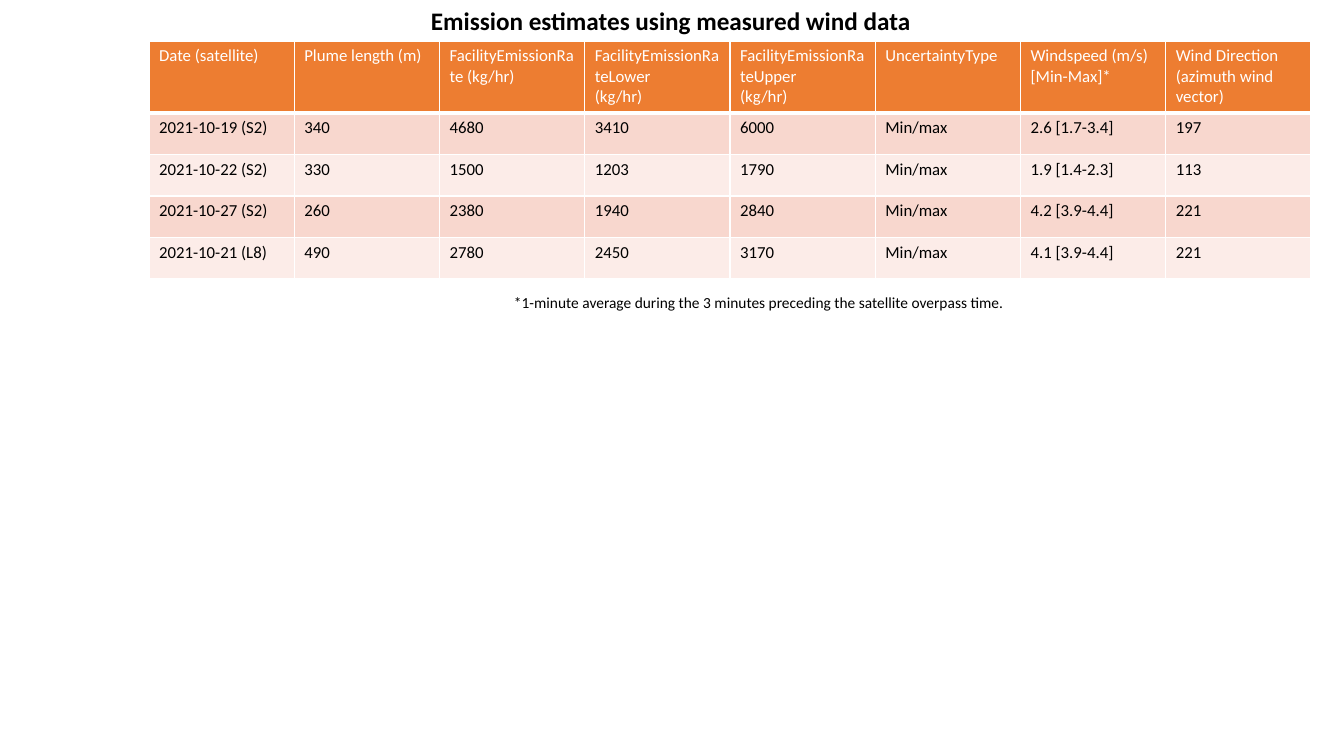
from pptx import Presentation
from pptx.dml.color import RGBColor
from pptx.enum.text import MSO_AUTO_SIZE
from pptx.oxml import parse_xml
from pptx.oxml.ns import nsdecls
from pptx.util import Emu, Pt

EMU_PER_PX = 914400 / 100.8
GROW = MSO_AUTO_SIZE.SHAPE_TO_FIT_TEXT

WHITE = RGBColor(0xFF, 0xFF, 0xFF)
BLACK = RGBColor(0x00, 0x00, 0x00)
ORANGE = RGBColor(0xED, 0x7D, 0x31)
BAND_DARK = RGBColor(0xF8, 0xD7, 0xCE)
BAND_LIGHT = RGBColor(0xFC, 0xEC, 0xE8)

HEADERS = [
    "Date (satellite)",
    "Plume length (m)",
    "FacilityEmissionRate (kg/hr)",
    "FacilityEmissionRateLower\n(kg/hr)",
    "FacilityEmissionRateUpper\n(kg/hr)",
    "UncertaintyType",
    "Windspeed (m/s) [Min-Max]*",
    "Wind Direction\n(azimuth wind vector)",
]
ESTIMATES = [
    ["2021-10-19 (S2)", "340", "4680", "3410", "6000", "Min/max", "2.6 [1.7-3.4]", "197"],
    ["2021-10-22 (S2)", "330", "1500", "1203", "1790", "Min/max", "1.9 [1.4-2.3]", "113"],
    ["2021-10-27 (S2)", "260", "2380", "1940", "2840", "Min/max", "4.2 [3.9-4.4]", "221"],
    ["2021-10-21 (L8)", "490", "2780", "2450", "3170", "Min/max", "4.1 [3.9-4.4]", "221"],
]


def px(length):
    return Emu(round(length * EMU_PER_PX))


class SlideBuilder:
    """Holds the font and the current slide."""

    def __init__(self, slide, font="Calibri"):
        self.slide = slide
        self.font = font

    def add_lines(self, frame, text, size, color, bold=False):
        for index, line in enumerate(text.split("\n")):
            paragraph = frame.add_paragraph() if index else frame.paragraphs[0]
            run = paragraph.add_run()
            run.text = line
            run.font.name = self.font
            run.font.size = Pt(size)
            run.font.bold = bold
            run.font.color.rgb = color

    def text(self, left, top, width, height, text, size, bold=False):
        shape = self.slide.shapes.add_textbox(px(left), px(top), px(width), px(height))
        shape.text_frame.word_wrap = False
        shape.text_frame.auto_size = GROW
        self.add_lines(shape.text_frame, text, size, BLACK, bold)

    def borders(self, cell, bottom):
        # Borders precede the fill in the cell properties
        properties = cell._tc.get_or_add_tcPr()
        for index, (side, points) in enumerate(
            [("L", 1), ("R", 1), ("T", 1), ("B", bottom)]
        ):
            line = parse_xml(
                f'<a:ln{side} {nsdecls("a")} w="{Pt(points)}"><a:solidFill>'
                f'<a:srgbClr val="{WHITE}"/></a:solidFill></a:ln{side}>'
            )
            properties.insert(index, line)

    def table(self, left, top, width, header_height, body_height, headers, body):
        rows = [headers] + body
        frame = self.slide.shapes.add_table(
            len(rows), len(headers), px(left), px(top),
            px(width), px(header_height + body_height),
        )
        table = frame.table
        for column in table.columns:
            column.width = px(width) // len(headers)
        for row_index, values in enumerate(rows):
            is_header = row_index == 0
            height = px(header_height) if is_header else px(body_height) // len(body)
            table.rows[row_index].height = height
            band = BAND_DARK if row_index % 2 else BAND_LIGHT
            for column_index, value in enumerate(values):
                cell = table.cell(row_index, column_index)
                cell.fill.solid()
                cell.fill.fore_color.rgb = ORANGE if is_header else band
                self.borders(cell, 3 if is_header else 1)
                self.add_lines(cell.text_frame, value, 12, WHITE if is_header else BLACK)


def main():
    presentation = Presentation()
    presentation.slide_width = px(1344)
    presentation.slide_height = px(756)
    slide = presentation.slides.add_slide(presentation.slide_layouts[6])
    builder = SlideBuilder(slide)

    # Emission table
    builder.table(149, 41, 1162, 72, 166, HEADERS, ESTIMATES)

    # Footnote
    builder.text(
        504, 288, 518, 29,
        "*1-minute average during the 3 minutes preceding the satellite overpass time.",
        11,
    )

    # Title
    builder.text(421, 0, 501, 40, "Emission estimates using measured wind data", 18, bold=True)

    presentation.save("out.pptx")


if __name__ == "__main__":
    main()
